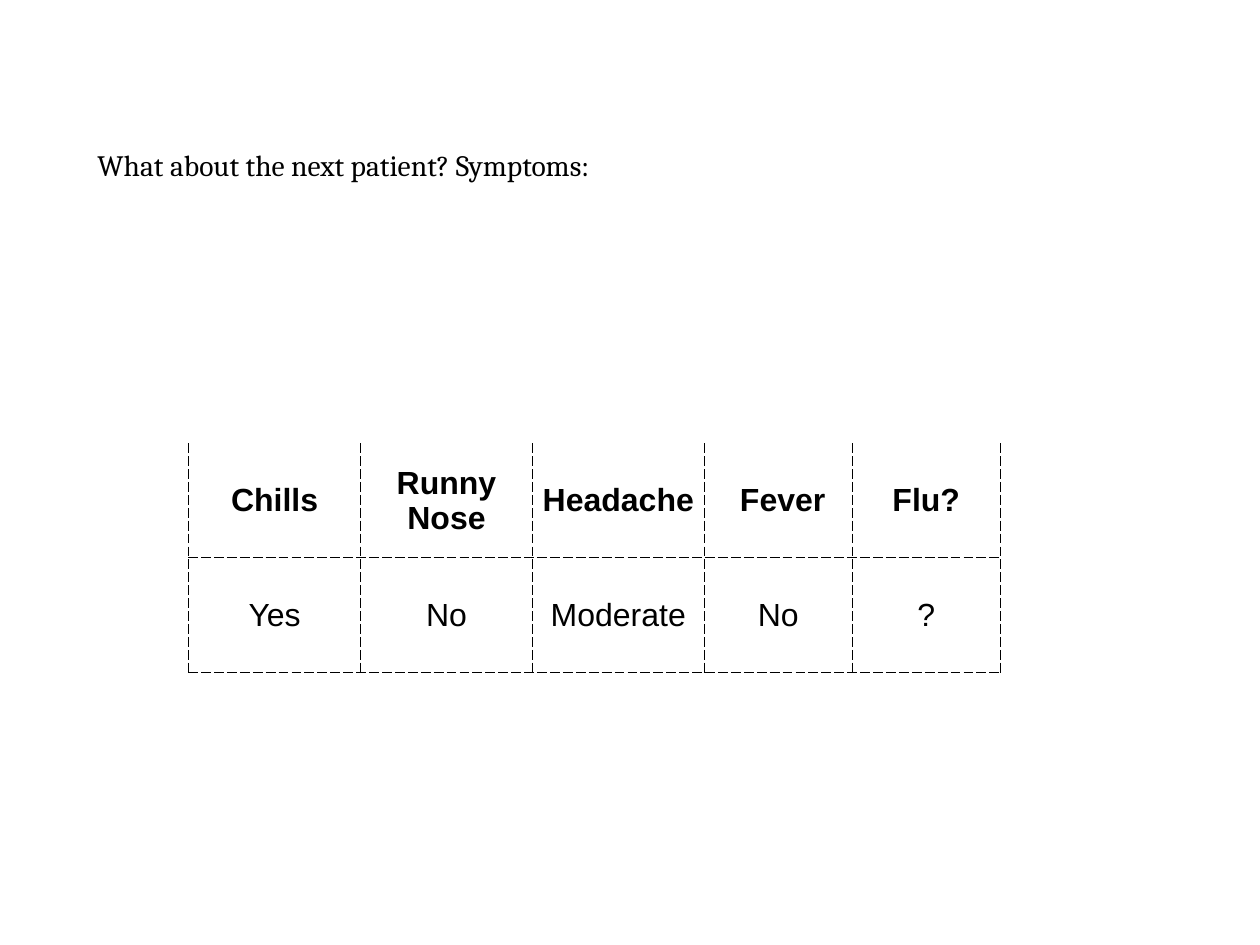
from pptx import Presentation
from pptx.dml.color import RGBColor
from pptx.enum.text import MSO_ANCHOR as Anchor, PP_ALIGN as Align
from pptx.oxml import parse_xml
from pptx.oxml.ns import nsdecls
from pptx.util import Inches, Pt

BLACK = "000000"
INSET = Inches(0.06)
COLUMN_WIDTHS = [1.94, 1.94, 1.94, 1.67, 1.67]
ROW_HEIGHT = 1.29
PATIENT_ROWS = [
    ["Chills", "Runny Nose", "Headache", " Fever", "Flu?"],
    ["Yes", "No", "Moderate", "No", "?"],
]


def color(value):
    """Turn a hex string into a colour."""
    return RGBColor.from_string(value)


def style_text(paragraph, font_name, size, bold=False):
    """Format every run of a paragraph."""
    for run in paragraph.runs:
        run.font.name = font_name
        run.font.size = Pt(size)
        run.font.bold = bold
        run.font.color.rgb = color(BLACK)


def set_insets(frame):
    """Give a text frame or a cell equal margins and middle anchoring."""
    frame.margin_left = frame.margin_right = INSET
    frame.margin_top = frame.margin_bottom = INSET
    frame.vertical_anchor = Anchor.MIDDLE


def add_question(slide, text):
    """Add the question above the table."""
    box = slide.shapes.add_textbox(Inches(1.04), Inches(1.39), Inches(12.14), Inches(0.76))
    frame = box.text_frame
    frame.word_wrap = True
    set_insets(frame)
    frame.text = text
    paragraph = frame.paragraphs[0]
    paragraph.line_spacing = Pt(42)
    style_text(paragraph, "Cambria", 24)


def add_dashed_borders(cell, sides):
    """Draw dashed borders on the given sides of a cell."""
    properties = cell._tc.get_or_add_tcPr()
    for index, side in enumerate(sides):
        border = parse_xml(
            f'<a:ln{side} {nsdecls("a")} w="{Pt(1)}">'
            f'<a:solidFill><a:srgbClr val="{BLACK}"/></a:solidFill>'
            f'<a:prstDash val="dash"/></a:ln{side}>'
        )
        properties.insert(index, border)


def fill_cell(cell, text, is_header):
    """Write and format one table cell."""
    cell.fill.background()
    set_insets(cell)
    cell.text = text
    paragraph = cell.text_frame.paragraphs[0]
    paragraph.alignment = Align.CENTER
    style_text(paragraph, "Arial", 26, is_header)
    add_dashed_borders(cell, "LRB" if is_header else "LRTB")


def add_symptom_table(slide, rows):
    """Add the table of symptoms."""
    shape = slide.shapes.add_table(
        len(rows), len(COLUMN_WIDTHS), Inches(2.13), Inches(5.01),
        Inches(sum(COLUMN_WIDTHS)), Inches(ROW_HEIGHT * len(rows)),
    )
    table = shape.table
    table.first_row = False
    table.horz_banding = False
    for column, width in zip(table.columns, COLUMN_WIDTHS):
        column.width = Inches(width)
    for row_index, texts in enumerate(rows):
        table.rows[row_index].height = Inches(ROW_HEIGHT)
        for column_index, text in enumerate(texts):
            fill_cell(table.cell(row_index, column_index), text, row_index == 0)


def main():
    """Build and save the slide."""
    presentation = Presentation()
    presentation.slide_width = Inches(14.22)
    presentation.slide_height = Inches(10.67)
    slide = presentation.slides.add_slide(presentation.slide_layouts[6])
    add_question(slide, "What about the next patient? Symptoms:")
    add_symptom_table(slide, PATIENT_ROWS)
    presentation.save("out.pptx")


if __name__ == "__main__":
    main()
